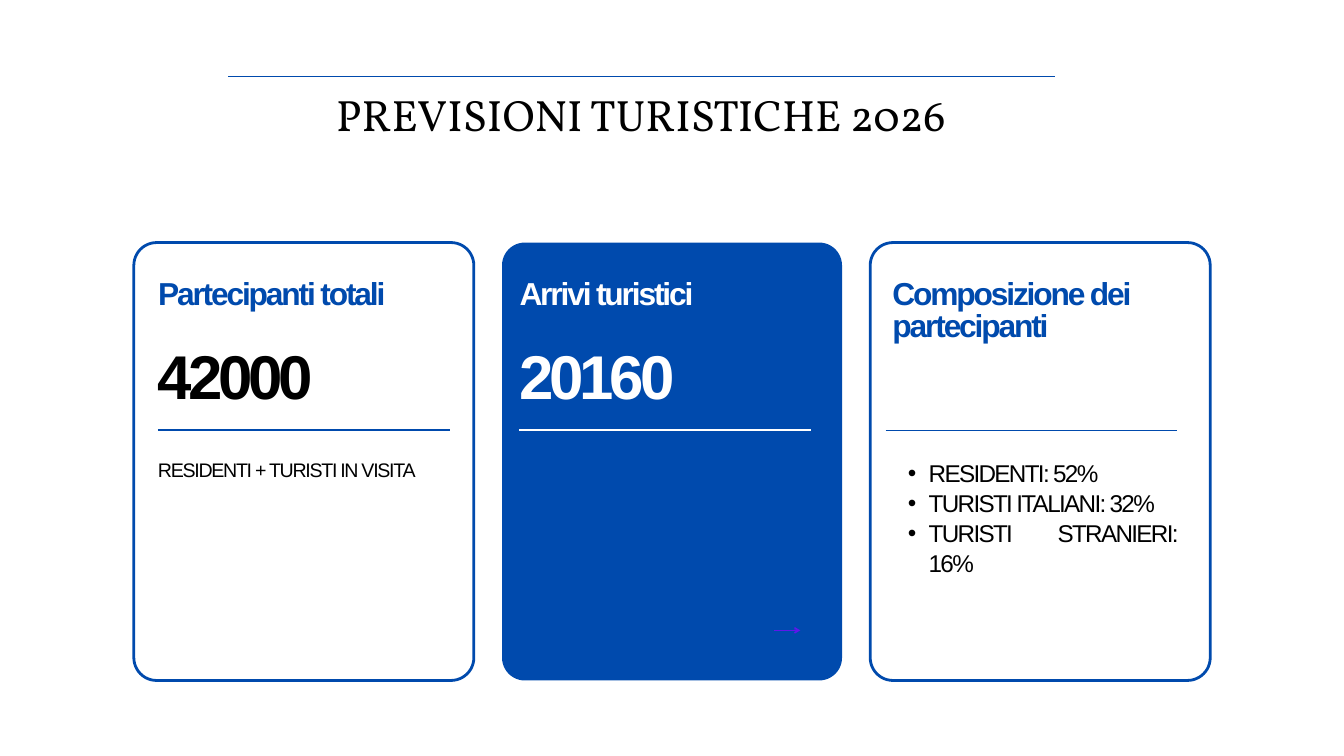
from pptx import Presentation
from pptx import util as u
from pptx.dml import color
from pptx.enum import shapes, text
from pptx.oxml import ns
from lxml import etree

COLORS = {"blue": "004AAD", "white": "FFFFFF", "black": "000000", "violet": "5E17EB"}
LEFT, CENTER, JUSTIFY = text.PP_ALIGN.LEFT, text.PP_ALIGN.CENTER, text.PP_ALIGN.JUSTIFY
RULE_LENGTH = 312.5
STYLES = {
    "title": {"size": 47, "name": "Vollkorn", "bold": False, "spacing": 0, "line": 65.8},
    "heading": {"size": 34, "name": "Arial", "bold": True, "spacing": -2.3, "line": 34},
    "number": {"size": 66.2, "name": "Arial", "bold": True, "spacing": -4.5, "line": 66.2},
    "note": {"size": 21, "name": "Arial", "bold": False, "spacing": -1.4, "line": 26},
    "list": {"size": 26, "name": "Arial", "bold": False, "spacing": -1.8, "line": 32.2},
}


def rgb(name):
    return color.RGBColor.from_string(COLORS[name])


def place(shape, box):
    for name, value in zip(("left", "top", "width", "height"), box):
        setattr(shape, name, u.Pt(value))


def write(shape, lines, style, color_name, alignment=JUSTIFY, bullet=None):
    frame_format = {
        "margin_left": 0, "margin_top": 0, "margin_right": 0, "margin_bottom": 0,
        "word_wrap": True, "vertical_anchor": text.MSO_ANCHOR.TOP,
        "auto_size": text.MSO_AUTO_SIZE.SHAPE_TO_FIT_TEXT,
    }
    values = STYLES[style]
    frame = shape.text_frame
    for name, value in frame_format.items():
        setattr(frame, name, value)
    for index, line in enumerate(lines):
        paragraph = frame.paragraphs[0] if index == 0 else frame.add_paragraph()
        paragraph_format = {
            "alignment": alignment, "line_spacing": u.Pt(values["line"]),
            "space_before": u.Pt(0), "space_after": u.Pt(0),
        }
        for name, value in paragraph_format.items():
            setattr(paragraph, name, value)
        if bullet:
            paragraph.level = 1
            properties = paragraph._p.get_or_add_pPr()
            properties.set("marL", str(u.Pt(43.9)))
            properties.set("indent", str(u.Pt(-22.3)))
            etree.SubElement(properties, ns.qn("a:buFont")).set("typeface", "Arial")
            etree.SubElement(properties, ns.qn("a:buChar")).set("char", bullet)
        run = paragraph.add_run()
        run.text = line
        font_format = {"size": u.Pt(values["size"]), "name": values["name"], "bold": values["bold"]}
        for name, value in font_format.items():
            setattr(run.font, name, value)
        run.font.color.rgb = rgb(color_name)
        run._r.get_or_add_rPr().set("spc", str(round(values["spacing"] * 100)))


def add_text(slide, box, line, style, color_name, alignment=JUSTIFY):
    shape = slide.shapes.add_textbox(*map(u.Pt, box))
    write(shape, [line], style, color_name, alignment)


def add_rule(slide, left, top, length, color_name, arrow=False):
    rule = slide.shapes.add_connector(
        shapes.MSO_CONNECTOR.STRAIGHT, u.Pt(left), u.Pt(top), u.Pt(left + length), u.Pt(top))
    rule.line.width = u.Pt(1.5)
    rule.line.color.rgb = rgb(color_name)
    if arrow:
        etree.SubElement(rule.line._get_or_add_ln(), ns.qn("a:tailEnd")).set("type", "arrow")
    etree.SubElement(rule._element.spPr, ns.qn("a:effectLst"))


def add_header(slide, box):
    left, top, width, height = box
    add_rule(slide, left, top, width, "blue")
    title = slide.shapes.title
    place(title, (left + 39.6, top + 2.2, 805, height))
    write(title, ["PREVISIONI TURISTICHE 2026"], "title", "black", CENTER)


def add_card(slide, box, filled=False):
    card = slide.shapes.add_shape(shapes.MSO_SHAPE.ROUNDED_RECTANGLE, *map(u.Pt, box))
    card.adjustments[0] = 0.067
    card.shadow.inherit = False
    if filled:
        card.fill.solid()
        card.fill.fore_color.rgb = rgb("blue")
        card.line.fill.background()
    else:
        card.fill.background()
        card.line.color.rgb = rgb("blue")
        card.line.width = u.Pt(3)


def add_number_card(slide, box, inset, heading, number, note=None, filled=False):
    left, top = box[0] + inset, box[1]
    accent, figure = ("white", "white") if filled else ("blue", "black")
    add_card(slide, box, filled)
    add_text(slide, (left, top + 40.3, 312, 35), heading, "heading", accent)
    add_text(slide, (left, top + 114.8, 174, 70), number, "number", figure)
    add_rule(slide, left, top + 201, RULE_LENGTH, accent)
    if note:
        add_text(slide, (left, top + 230.4, 310, 26), note, "note", "black")
    if filled:
        add_rule(slide, box[0] + 291.6, top + 415.5, 28, "violet", arrow=True)


def add_list_card(slide, box, heading, items):
    left, top = box[:2]
    add_card(slide, box)
    add_text(slide, (left + 23.8, top + 40.3, 312, 69), heading, "heading", "blue", LEFT)
    add_rule(slide, left + 16.6, top + 201.6, RULE_LENGTH, "blue")
    body = slide.placeholders[1]
    place(body, (left + 18.7, top + 230.4, 310, 95))
    write(body, items, "list", "black", bullet="•")


def main():
    presentation = Presentation()
    presentation.slide_width, presentation.slide_height = u.Pt(1440), u.Pt(810)
    slide = presentation.slides.add_slide(presentation.slide_layouts[1])
    add_header(slide, (244.8, 82, 885.6, 73.4))
    first, second, third = [(143.4 + 394.5 * column, 259.9, 364.3, 469.2) for column in range(3)]
    add_number_card(slide, first, 25.9, "Partecipanti totali", "42000", "RESIDENTI + TURISTI IN VISITA")
    add_number_card(slide, second, 18.7, "Arrivi turistici", "20160", filled=True)
    add_list_card(slide, third, "Composizione dei partecipanti",
                  ["RESIDENTI: 52%", "TURISTI ITALIANI: 32%", "TURISTI STRANIERI: 16%"])
    presentation.save("out.pptx")


if __name__ == "__main__":
    main()
